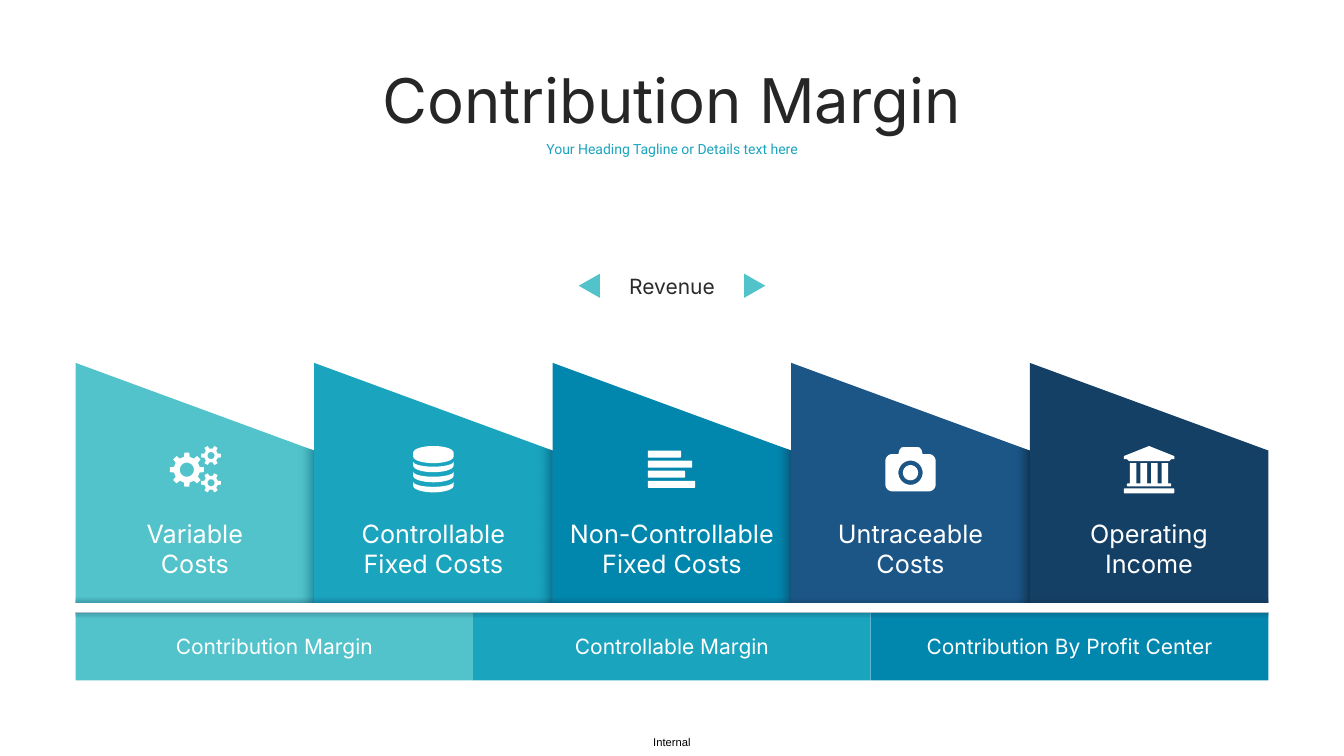
from collections import namedtuple
from dataclasses import dataclass
from math import cos, pi, radians, sin

from lxml import etree
from pptx import Presentation
from pptx.dml.color import RGBColor
from pptx.enum.shapes import MSO_SHAPE
from pptx.enum.text import MSO_AUTO_SIZE, PP_ALIGN
from pptx.oxml.ns import qn
from pptx.util import Inches, Pt

RECTANGLE = MSO_SHAPE.RECTANGLE
TRIANGLE = MSO_SHAPE.ISOSCELES_TRIANGLE
CENTER = PP_ALIGN.CENTER
GROW = MSO_AUTO_SIZE.SHAPE_TO_FIT_TEXT
UP, DOWN, LEFT = 270, 90, 180

Box = namedtuple("Box", "left top width height")


@dataclass(frozen=True)
class Theme:
    font: str = "Inter"
    tagline_font: str = "Roboto"
    footer_font: str = "Arial"
    title_size: int = 44
    tagline_size: int = 10
    label_size: int = 18
    margin_size: int = 15
    footer_size: int = 8
    ink: str = "262626"
    revenue_ink: str = "2B2B2D"
    footer_ink: str = "000000"
    white: str = "FFFFFF"
    ramp: tuple = ("52C3CB", "1BA4BE", "0187AE", "1C5687", "154065")
    shades: tuple = ("147B8E", "016582", "154065", "0E2B44")
    edge: str = "0E2B44"


THEME = Theme()
SLIDE = Box(0, 0, 13.33, 7.5)
CHART = Box(0.75, 2.18, 11.83, 3.8)
COLUMNS = Box(0.75, 3.6, 11.83, 2.38)
MARGINS = Box(0.75, 6.08, 11.83, 0.67)
SLOPE = 0.87
SHADE_WIDTH = 0.16
EDGE_HEIGHT = 0.05


def paint(shape, color):
    shape.shadow.inherit = False
    shape.line.fill.background()
    shape.fill.solid()
    shape.fill.fore_color.rgb = RGBColor.from_string(color)
    return shape


def set_opacity(color_element, percent):
    etree.SubElement(color_element, qn("a:alpha")).set("val", str(percent * 1000))


def fade(shape, dark, light, opacity, angle):
    shape.fill.gradient()
    gradient = shape._element.spPr.find(qn("a:gradFill"))
    stops = gradient.find(qn("a:gsLst"))
    for stop in list(stops):
        stops.remove(stop)
    for position, color, alpha in ((0, dark, opacity), (100000, light, 0)):
        stop = etree.SubElement(stops, qn("a:gs"), pos=str(position))
        set_opacity(etree.SubElement(stop, qn("a:srgbClr"), val=color), alpha)
    gradient.find(qn("a:lin")).set("ang", str(angle * 60000))


def add_preset(slide, kind, box, color, rotation=0):
    shape = slide.shapes.add_shape(kind, *map(Inches, box))
    shape.rotation = rotation
    return paint(shape, color)


def add_outline(slide, contours, color, center=(0, 0)):
    placed = [[(Inches(x + center[0]), Inches(y + center[1])) for x, y in contour]
              for contour in contours]
    builder = slide.shapes.build_freeform(*placed[0][0])
    for index, contour in enumerate(placed):
        if index:
            builder.move_to(*contour[0])
        builder.add_line_segments(contour[1:], close=True)
    return paint(builder.convert_to_shape(), color)


def add_text(slide, text, box, size, color, font=THEME.font, wrap=True, inset=None):
    frame = slide.shapes.add_textbox(*map(Inches, box)).text_frame
    frame.word_wrap = wrap
    frame.auto_size = GROW
    if inset is not None:
        frame.margin_left = frame.margin_right = Inches(inset)
        frame.margin_top = frame.margin_bottom = Inches(inset)
    frame.text = text
    for paragraph in frame.paragraphs:
        paragraph.alignment = CENTER
        paragraph.font.name = font
        paragraph.font.size = Pt(size)
        paragraph.font.color.rgb = RGBColor.from_string(color)


def centered(box, width, top, height):
    return Box(box.left + (box.width - width) / 2, top, width, height)


def split(box, count):
    width = box.width / count
    return [Box(box.left + index * width, box.top, width, box.height)
            for index in range(count)]


def arc(x, y, radius_x, radius_y, start, end, steps=24):
    angles = [radians(start + (end - start) * step / steps) for step in range(steps + 1)]
    return [(x + radius_x * cos(angle), y + radius_y * sin(angle)) for angle in angles]


def circle(x, y, radius):
    return arc(x, y, radius, radius, 0, 360, 48)


def block(left, top, width, height, radius=0.01):
    right, bottom = left + width - radius, top + height - radius
    left, top = left + radius, top + radius
    corners = ((left, top), (right, top), (right, bottom), (left, bottom))
    return [point for index, (x, y) in enumerate(corners)
            for point in arc(x, y, radius, radius, 180 + 90 * index, 270 + 90 * index, 6)]


def gear(x, y, teeth, outer, root, hole):
    pitch = 2 * pi / teeth
    profile = ((-0.28, root), (-0.18, outer), (0.18, outer), (0.28, root))
    rim = [(x + radius * cos((tooth + share) * pitch), y + radius * sin((tooth + share) * pitch))
           for tooth in range(teeth) for share, radius in profile]
    return [rim, circle(x, y, hole)]


def gears_icon():
    return (gear(-0.08, 0, 8, 0.17, 0.13, 0.07) + gear(0.16, -0.14, 6, 0.1, 0.07, 0.035)
            + gear(0.16, 0.13, 6, 0.1, 0.07, 0.035))


def database_icon():
    lid = arc(0, -0.17, 0.2, 0.065, 180, 360) + arc(0, -0.13, 0.2, 0.065, 0, 180)
    return [lid] + [arc(0, y, 0.2, 0.05, 180, 0) + arc(0, y + 0.04, 0.2, 0.065, 0, 180)
                    for y in (-0.08, 0.02, 0.12)]


def bars_icon():
    return [block(-0.24, -0.19 + 0.1 * row, width, 0.07)
            for row, width in enumerate((0.33, 0.44, 0.37, 0.47))]


def camera_icon():
    body = block(-0.25, -0.155, 0.5, 0.37, 0.07)
    hump = [(-0.12, -0.155), (-0.11, -0.195), (-0.09, -0.22), (-0.06, -0.225),
            (0.06, -0.225), (0.09, -0.22), (0.11, -0.195), (0.12, -0.155)]
    corner = len(body) // 4
    return [body[:corner] + hump + body[corner:],
            circle(0, 0.03, 0.12), circle(0, 0.03, 0.075)]


def bank_icon():
    roof = [(-0.25, -0.135), (0, -0.235), (0.25, -0.135), (0.25, -0.105), (0.22, -0.105),
            (0.2, -0.085), (-0.2, -0.085), (-0.22, -0.105), (-0.25, -0.105)]
    pillars = [block(-0.19 + 0.105 * index, -0.065, 0.065, 0.2, 0) for index in range(4)]
    return [roof, *pillars, block(-0.22, 0.135, 0.44, 0.03), block(-0.25, 0.185, 0.5, 0.05)]


COSTS = (
    ("Variable\nCosts", 1.47, gears_icon),
    ("Controllable Fixed Costs", 1.83, database_icon),
    ("Non-Controllable Fixed Costs", 2.37, bars_icon),
    ("Untraceable Costs", 1.8, camera_icon),
    ("Operating Income", 1.8, bank_icon),
)
MARGIN_LABELS = (("Contribution Margin", 2.81), ("Controllable Margin", 2.81),
                 ("Contribution By Profit Center", 3.72))


def add_heading(slide, box):
    add_text(slide, "Contribution Margin", centered(box, 6.53, 0.57, 0.84),
             THEME.title_size, THEME.ink)
    add_text(slide, "Your Heading Tagline or Details text here", centered(box, 2.81, 1.34, 0.27),
             THEME.tagline_size, THEME.ramp[1], font=THEME.tagline_font)


def add_revenue(slide, box):
    add_text(slide, "Revenue", centered(box, 1.38, box.top + 0.48, 0.35),
             THEME.margin_size, THEME.revenue_ink)
    for offset, rotation in ((-0.82, 270), (0.82, 90)):
        arrow = centered(box, 0.24, box.top + 0.55, 0.21)
        add_preset(slide, TRIANGLE, arrow._replace(left=arrow.left + offset),
                   THEME.ramp[0], rotation)


def add_edge(slide, box, top, angle):
    edge = add_preset(slide, RECTANGLE, box._replace(top=top, height=EDGE_HEIGHT), THEME.edge)
    fade(edge, THEME.edge, THEME.ramp[-1], 30, angle)


def add_columns(slide, box):
    bottom = box.top + box.height
    shoulder = box.top + SLOPE
    for index, (cell, (label, width, icon)) in enumerate(zip(split(box, len(COSTS)), COSTS)):
        right = cell.left + cell.width
        color = THEME.ramp[index]
        add_outline(slide, [[(cell.left, cell.top), (right, shoulder), (right, bottom),
                             (cell.left, bottom)]], color)
        if index < len(THEME.shades):
            inner = right - SHADE_WIDTH
            shade = add_outline(slide, [[(inner, shoulder - 0.06), (right, shoulder),
                                         (right, bottom), (inner, bottom)]], color)
            fade(shade, THEME.shades[index], color, 80, LEFT)
        add_text(slide, label, centered(cell, width, box.top + 1.49, 0.71),
                 THEME.label_size, THEME.white)
        add_outline(slide, icon(), THEME.white,
                    center=(cell.left + cell.width / 2, box.top + 1.06))
    add_edge(slide, box, bottom - EDGE_HEIGHT, UP)


def add_margins(slide, box):
    cells = split(box, len(MARGIN_LABELS))
    for cell, color in zip(cells, THEME.ramp):
        add_preset(slide, RECTANGLE, cell, color)
    add_edge(slide, box, box.top, DOWN)
    for cell, (label, width) in zip(cells, MARGIN_LABELS):
        add_text(slide, label, centered(cell, width, box.top + 0.16, 0.35),
                 THEME.margin_size, THEME.white)


def main():
    presentation = Presentation()
    presentation.slide_width = Inches(SLIDE.width)
    presentation.slide_height = Inches(SLIDE.height)
    slide = presentation.slides.add_slide(presentation.slide_layouts[6])
    add_text(slide, "Internal", centered(SLIDE, 0.4, 7.3, 0.13), THEME.footer_size,
             THEME.footer_ink, font=THEME.footer_font, wrap=False, inset=0)
    panel = add_preset(slide, RECTANGLE, CHART, THEME.white)
    set_opacity(panel._element.spPr.find(qn("a:solidFill"))[0], 75)
    add_heading(slide, SLIDE)
    add_revenue(slide, CHART)
    add_columns(slide, COLUMNS)
    add_margins(slide, MARGINS)
    presentation.save("out.pptx")


if __name__ == "__main__":
    main()
